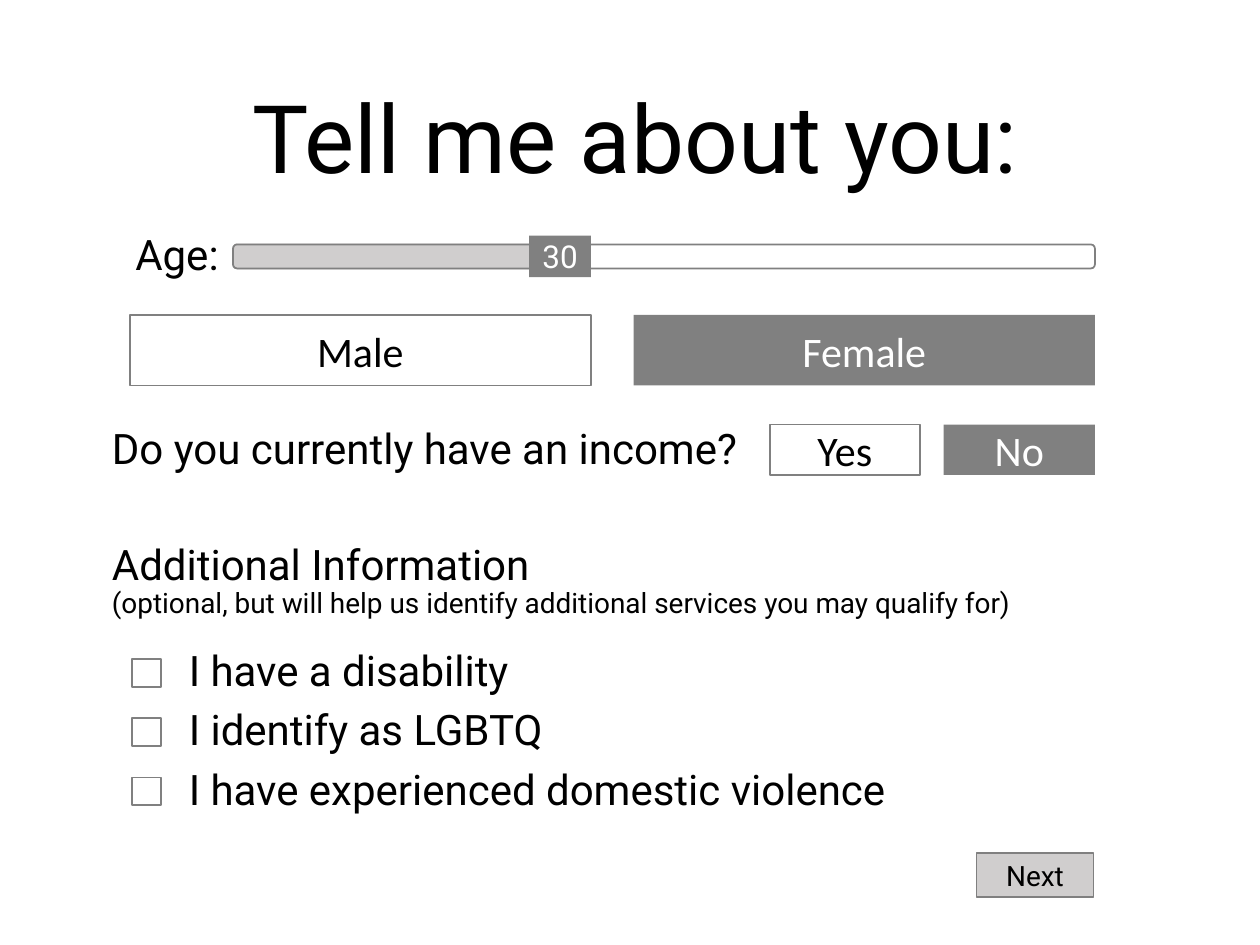
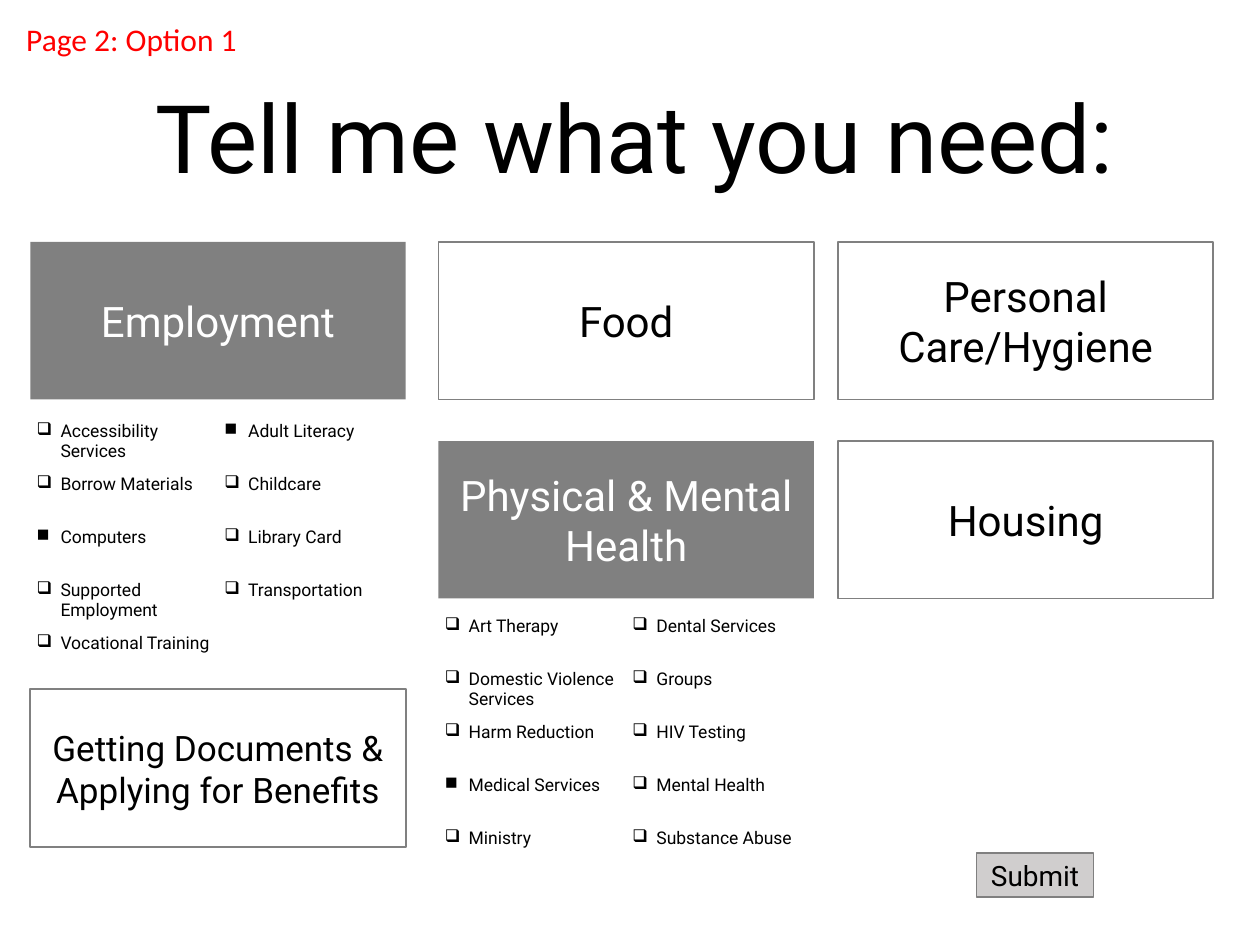
from dataclasses import dataclass

from lxml.etree import SubElement
from pptx import Presentation
from pptx.dml.color import RGBColor
from pptx.enum.shapes import MSO_SHAPE
from pptx.enum.text import MSO_ANCHOR, MSO_AUTO_SIZE, PP_ALIGN
from pptx.oxml.ns import qn
from pptx.util import Inches, Pt


@dataclass(frozen=True)
class Theme:
    black: RGBColor = RGBColor(0, 0, 0)
    white: RGBColor = RGBColor(255, 255, 255)
    gray: RGBColor = RGBColor(0x80, 0x80, 0x80)
    light: RGBColor = RGBColor(0xD0, 0xCE, 0xCE)
    red: RGBColor = RGBColor(255, 0, 0)
    font: str = "Roboto"
    button_font: str = "Calibri"
    title: int = 54
    large: int = 24
    medium: int = 20
    tag: int = 18
    small: int = 16
    tiny: int = 10


theme = Theme()


def write(frame, text, size=theme.large, font=theme.font, color=theme.black,
          align=PP_ALIGN.LEFT, anchor=MSO_ANCHOR.BOTTOM, spacing=0.9, bullet=None):
    frame.word_wrap = True
    frame.vertical_anchor = anchor
    para = frame.add_paragraph() if frame.text else frame.paragraphs[0]
    para.alignment = align
    para.line_spacing = spacing
    para.space_before = Pt(0)
    if bullet:
        properties = para._p.get_or_add_pPr()
        properties.set("marL", str(Inches(0.19)))
        properties.set("indent", str(-Inches(0.19)))
        SubElement(properties, qn("a:buChar")).set("char", bullet)
    span = para.add_run()
    span.text = text
    span.font.size = Pt(size)
    span.font.name = font
    span.font.color.rgb = color


def add_box(page, place, fill=None, line=theme.gray, text="", kind=MSO_SHAPE.RECTANGLE, **style):
    box = page.shapes.add_shape(kind, *map(Inches, place))
    box.shadow.inherit = False
    if fill is None:
        box.fill.background()
    else:
        box.fill.solid()
        box.fill.fore_color.rgb = fill
    if line is None or fill == theme.gray:
        box.line.fill.background()
    else:
        box.line.color.rgb = line
        box.line.width = Pt(1)
    if text:
        color = theme.white if fill == theme.gray else theme.black
        write(box.text_frame, text, color=color, align=PP_ALIGN.CENTER,
              anchor=MSO_ANCHOR.MIDDLE, spacing=1, **style)


deck = Presentation()
deck.slide_width, deck.slide_height = Inches(10), Inches(7.5)

pages = []
for heading, action in [("Tell me about you:", "Next"), ("Tell me what you need:", "Submit")]:
    page = deck.slides.add_slide(deck.slide_layouts[0])
    subtitle = page.placeholders[1].element
    subtitle.getparent().remove(subtitle)
    title = page.shapes.title
    title.left, title.top, title.width, title.height = map(Inches, (0.79, 0.63, 8.5, 0.96))
    title.text_frame.auto_size = MSO_AUTO_SIZE.NONE
    write(title.text_frame, heading, size=theme.title, align=PP_ALIGN.CENTER)
    add_box(page, (7.75, 6.77, 0.93, 0.35), fill=theme.light, text=action, size=theme.small)
    pages.append(page)
about, needs = pages

for width, fill, line in [(2.73, theme.light, theme.light), (6.84, None, theme.gray)]:
    add_box(about, (1.85, 1.94, width, 0.19), fill=fill, line=line,
            kind=MSO_SHAPE.ROUNDED_RECTANGLE)
add_box(about, (4.2, 1.87, 0.49, 0.33), fill=theme.gray, text="30", size=theme.tag)

for text, place, fill in [
    ("Male", (1.03, 2.5, 3.66, 0.56), None),
    ("Female", (5.03, 2.5, 3.66, 0.56), theme.gray),
    ("Yes", (6.11, 3.37, 1.19, 0.4), None),
    ("No", (7.49, 3.37, 1.2, 0.4), theme.gray),
]:
    add_box(about, place, fill=fill, text=text, font=theme.button_font)

labels = [
    ("Age:", (0.79, 1.8, 1.23, 0.47), PP_ALIGN.CENTER),
    ("Do you currently have an income?", (0.79, 3.34, 5.33, 0.47), PP_ALIGN.LEFT),
    ("Additional Information", (0.79, 4.03, 7.9, 0.94), PP_ALIGN.LEFT),
]
options = ["I have a disability", "I identify as LGBTQ", "I have experienced domestic violence"]
for index, option in enumerate(options):
    offset = index * 0.47
    add_box(about, (1.05, 5.23 + offset, 0.23, 0.22))
    labels.append((option, (1.4, 5.1 + offset, 6.17, 0.47), PP_ALIGN.LEFT))

for text, place, align in labels:
    frame = about.shapes.add_textbox(*map(Inches, place)).text_frame
    write(frame, text, align=align)
    if text == "Additional Information":
        write(frame, "(optional, but will help us identify additional services you may qualify for)",
              size=theme.small)

columns = [0.24, 3.48, 6.65]
for text, column, top, fill, size in [
    ("Employment", 0, 1.92, theme.gray, theme.large),
    ("Food", 1, 1.92, None, theme.large),
    ("Personal Care/Hygiene", 2, 1.92, None, theme.large),
    ("Getting Documents & Applying for Benefits", 0, 5.47, None, theme.medium),
    ("Physical & Mental Health", 1, 3.5, theme.gray, theme.large),
    ("Housing", 2, 3.5, None, theme.large),
]:
    add_box(needs, (columns[column], top, 2.98, 1.25), fill=fill, text=text, size=size)

employment = [
    ("Accessibility Services", "Adult Literacy"),
    ("Borrow Materials", "Childcare"),
    ("Computers", "Library Card"),
    ("Supported Employment", "Transportation"),
    ("Vocational Training", ""),
]
health = [
    ("Art Therapy", "Dental Services"),
    ("Domestic Violence Services", "Groups"),
    ("Harm Reduction", "HIV Testing"),
    ("Medical Services", "Mental Health"),
    ("Ministry", "Substance Abuse"),
]
selected = {"Adult Literacy", "Computers", "Medical Services"}

for services, left, top in [(employment, columns[0], 3.29), (health, columns[1], 4.84)]:
    table = needs.shapes.add_table(len(services), 2, Inches(left), Inches(top),
                                   Inches(2.98), Inches(2.1)).table
    table.first_row = table.horz_banding = False
    for row, names in zip(table.rows, services):
        row.height = Inches(0.42)
        for cell, name in zip(row.cells, names):
            cell.fill.background()
            cell.margin_left = cell.margin_right = Inches(0.05)
            cell.margin_top = cell.margin_bottom = Inches(0.05)
            if name:
                write(cell.text_frame, name, size=theme.tiny, anchor=MSO_ANCHOR.TOP, spacing=1,
                      bullet="■" if name in selected else "❑")

note = needs.shapes.add_textbox(*map(Inches, (0.11, 0.11, 2.19, 0.4)))
write(note.text_frame, "Page 2: Option 1", size=theme.tag, font=theme.button_font,
      color=theme.red, anchor=MSO_ANCHOR.TOP, spacing=1)

deck.save("out.pptx")
